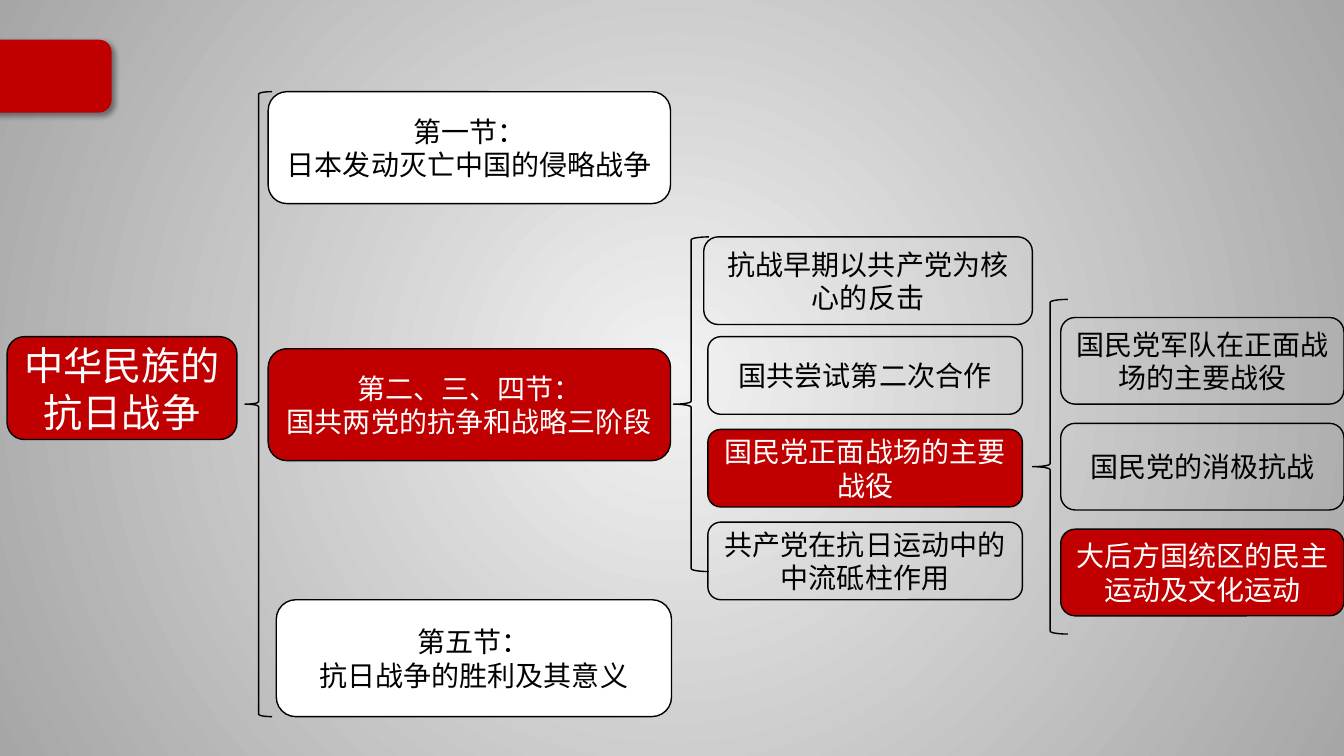
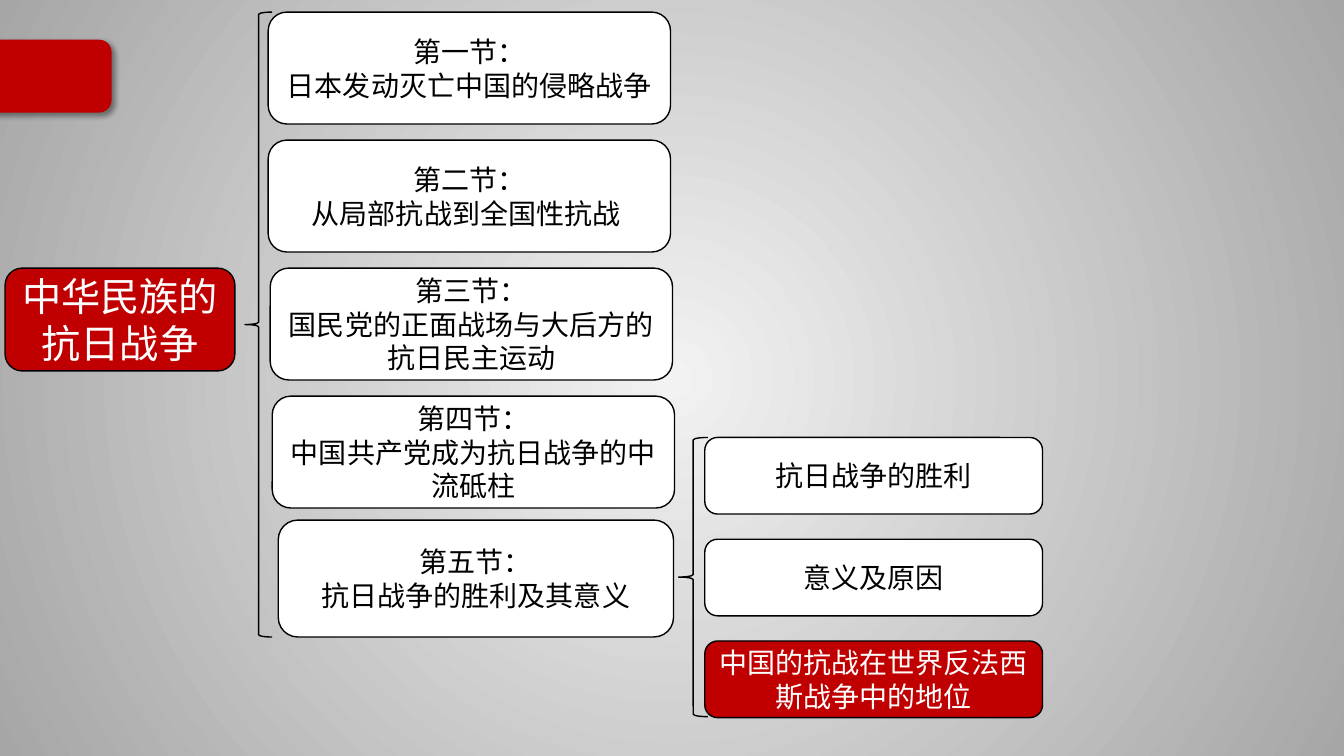
from lxml.etree import SubElement
from pptx import Presentation
from pptx.dml.color import RGBColor
from pptx.enum.shapes import MSO_SHAPE
from pptx.enum.text import MSO_ANCHOR, PP_ALIGN
from pptx.oxml import parse_xml
from pptx.oxml.ns import nsdecls, qn
from pptx.util import Pt

PX = 9144
FONT = "Noto Sans CJK SC"
RED = RGBColor(0xC0, 0x00, 0x00)
WHITE = RGBColor(0xFF, 0xFF, 0xFF)
BLACK = RGBColor(0x00, 0x00, 0x00)
LIGHT = RGBColor(0xF2, 0xF2, 0xF2)
GREY = RGBColor(0xA6, 0xA6, 0xA6)
GLOW = f"""<a:gradFill {nsdecls('a')} rotWithShape="1"><a:gsLst>
<a:gs pos="0"><a:srgbClr val="{LIGHT}"/></a:gs>
<a:gs pos="100000"><a:srgbClr val="{GREY}"/></a:gs></a:gsLst>
<a:path path="circle"><a:fillToRect l="50000" t="50000" r="50000" b="50000"/></a:path>
</a:gradFill>"""
SHADE = f"""<a:effectLst {nsdecls('a')}>
<a:outerShdw blurRad="50800" dist="38100" dir="2700000" algn="tl" rotWithShape="0">
<a:srgbClr val="{BLACK}"><a:alpha val="40000"/></a:srgbClr></a:outerShdw></a:effectLst>"""


def write(shape, text, size=20, color=BLACK):
    frame = shape.text_frame
    frame.word_wrap = True
    frame.vertical_anchor = MSO_ANCHOR.MIDDLE
    frame.text = text
    for para in frame.paragraphs:
        para.alignment = PP_ALIGN.CENTER
        for run in para.runs:
            font = run.font
            font.size = Pt(size)
            font.name = FONT
            font.color.rgb = color
            SubElement(run._r.get_or_add_rPr(), qn("a:ea"), typeface=FONT)


class Deck:
    """Holds the shared style and the current slide of a mind map."""

    def __init__(self):
        self.prs = Presentation()
        self.prs.slide_width = 1333 * PX
        self.prs.slide_height = 750 * PX
        self.layout = self.prs.slide_layouts[6]
        master = self.prs.slide_master
        master.background.fill.solid()
        back = master.element.cSld.bg.bgPr
        back.replace(back[0], parse_xml(GLOW))
        self.slide = None

    def page(self):
        self.slide = self.prs.slides.add_slide(self.layout)

    def shape(self, kind, x, y, w, h, fill=None, line=BLACK):
        item = self.slide.shapes.add_shape(kind, x * PX, y * PX, w * PX, h * PX)
        item.shadow.inherit = False
        if fill is None:
            item.fill.background()
        else:
            item.fill.solid()
            item.fill.fore_color.rgb = fill
        item.line.color.rgb = line
        item.line.width = Pt(1)
        return item

    def tab(self):
        item = self.shape(MSO_SHAPE.ROUNDED_RECTANGLE, -18, 40, 128, 71, RED, RED)
        props = item.element.spPr
        props.replace(props.find(qn("a:effectLst")), parse_xml(SHADE))
        self.layout.shapes.element.append(item.element)

    def brace(self, x, y, w, h):
        self.shape(MSO_SHAPE.LEFT_BRACE, x, y, w, h)

    def box(self, text, x, y, w, h, fill=None, size=20):
        item = self.shape(MSO_SHAPE.ROUNDED_RECTANGLE, x, y, w, h, fill)
        write(item, text, size=size, color=WHITE if fill == RED else BLACK)

    def root(self, x, y):
        self.box("中华民族的抗日战争", x, y, 228, 102, RED, 28)

    def topic(self, text, x, y, fill=WHITE):
        self.box(text, x, y, 399, 111, fill)

    def ends(self, x, top):
        self.brace(243, top, 27, 620)
        self.topic("第一节：\n日本发动灭亡中国的侵略战争", 266, top)
        self.box("第五节：\n抗日战争的胜利及其意义", x, top + 504, 392, 116, WHITE)

    def stack(self, x, y, w, h, step, items):
        for row, (text, fill) in enumerate(items):
            self.box(text, x, y + row * step, w, h, fill)


def main():
    deck = Deck()
    deck.page()
    deck.tab()
    deck.root(7, 334)
    deck.ends(274, 91)
    deck.topic("第二、三、四节：\n国共两党的抗争和战略三阶段", 266, 346, RED)
    deck.brace(668, 235, 35, 332)
    deck.box("抗战早期以共产党为核心的反击", 698, 235, 326, 87)
    deck.stack(702, 334, 312, 77, 92, [
        ("国共尝试第二次合作", None),
        ("国民党正面战场的主要战役", RED),
        ("共产党在抗日运动中的中流砥柱作用", None),
    ])
    deck.brace(1024, 297, 35, 332)
    deck.stack(1052, 315, 281, 86, 105, [
        ("国民党军队在正面战场的主要战役", None),
        ("国民党的消极抗战", None),
        ("大后方国统区的民主运动及文化运动", RED),
    ])

    deck.page()
    deck.root(5, 266)
    deck.ends(276, 12)
    topics = [
        (266, "第二节：\n从局部抗战到全国性抗战 "),
        (268, "第三节：\n国民党的正面战场与大后方的抗日民主运动"),
        (270, "第四节：\n中国共产党成为抗日战争的中流砥柱"),
    ]
    for row, (x, text) in enumerate(topics):
        deck.topic(text, x, 139 + row * 127)
    deck.brace(673, 434, 29, 277)
    deck.stack(699, 434, 335, 76, 101, [
        ("抗日战争的胜利", WHITE),
        ("意义及原因", WHITE),
        ("中国的抗战在世界反法西斯战争中的地位", RED),
    ])
    deck.prs.save("out.pptx")


if __name__ == "__main__":
    main()
